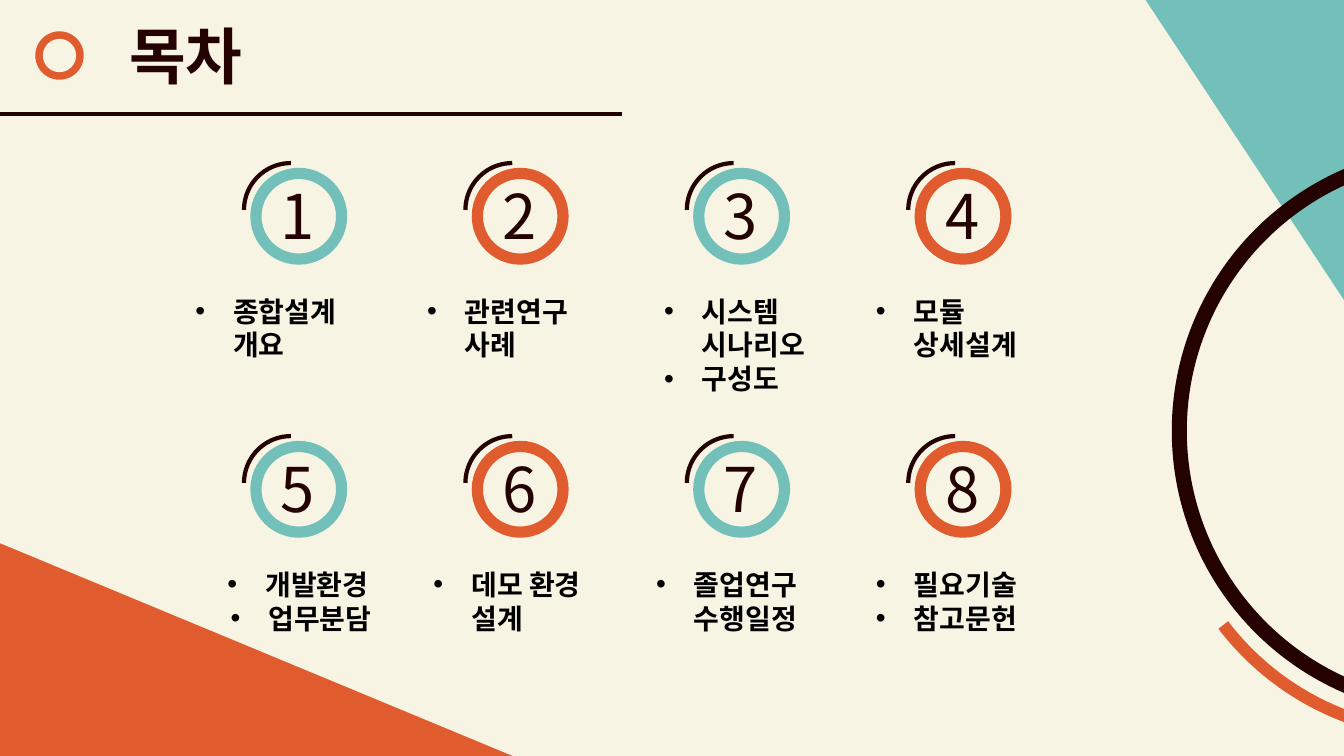
from lxml import etree
from pptx import Presentation
from pptx import util as u
from pptx.dml.color import RGBColor
from pptx.enum import shapes, text
from pptx.oxml.ns import qn

CREAM = RGBColor(0xF7, 0xF4, 0xE3)
ORANGE = RGBColor(0xE0, 0x5B, 0x2E)
TEAL = RGBColor(0x73, 0xC0, 0xBA)
DARK = RGBColor(0x24, 0x02, 0x02)
BLACK = RGBColor(0, 0, 0)
FONT = "Noto Sans CJK KR"

COLUMNS = 4
FIRST_LEFT, FIRST_TOP = 6.45, 4.37
COLUMN_STEP, ROW_STEP = 5.58, 6.88
RING = 2.16
LEFT, CENTER = text.PP_ALIGN.LEFT, text.PP_ALIGN.CENTER

TOPICS = [
    (["종합설계 개요"], -1.78, 5.0, LEFT),
    (["관련연구 사례"], -1.52, 5.16, LEFT),
    (["시스템 시나리오", "구성도"], -1.13, 4.39, LEFT),
    (["모듈 상세설계"], -1.37, 5.0, LEFT),
    (["개발환경 ", "업무분담"], -1.78, 5.84, CENTER),
    (["데모 환경 설계"], -1.36, 5.16, LEFT),
    (["졸업연구 수행일정"], -1.33, 4.88, LEFT),
    (["필요기술", "참고문헌"], -1.37, 5.82, LEFT),
]


def place(sp, left, top, width, height):
    sp.left, sp.top = u.Cm(left), u.Cm(top)
    sp.width, sp.height = u.Cm(width), u.Cm(height)


def add_text(sp, lines, size=20, color=BLACK, bold=False, align=LEFT):
    tf = sp.text_frame
    tf.word_wrap = True
    tf.auto_size = text.MSO_AUTO_SIZE.SHAPE_TO_FIT_TEXT
    tf.vertical_anchor = text.MSO_ANCHOR.TOP
    for i, line in enumerate(lines):
        p = tf.paragraphs[0] if i == 0 else tf.add_paragraph()
        p.alignment = align
        p.space_before = u.Pt(0)
        r = p.add_run()
        r.text = line
        r.font.size = u.Pt(size)
        r.font.bold = bold
        r.font.color.rgb = color
        r.font.name = FONT
        ea = etree.SubElement(r._r.get_or_add_rPr(), qn("a:ea"))
        ea.set("typeface", FONT)


def add_preset(slide, kind, box, fill=None, line=None, weight=0):
    sp = slide.shapes.add_shape(kind, *map(u.Cm, box))
    sp.shadow.inherit = False
    if fill is None:
        sp.fill.background()
    else:
        sp.fill.solid()
        sp.fill.fore_color.rgb = fill
    if line is None:
        sp.line.fill.background()
    else:
        sp.line.color.rgb = line
        sp.line.width = u.Pt(weight)
    return sp


def add_arc(slide, box, start, end, color, weight):
    sp = add_preset(slide, shapes.MSO_SHAPE.ARC, box, line=color, weight=weight)
    sp.adjustments[0] = start * 0.6
    sp.adjustments[1] = end * 0.6


def add_backdrop(slide, width):
    slide.background.fill.solid()
    slide.background.fill.fore_color.rgb = CREAM
    triangle = shapes.MSO_SHAPE.RIGHT_TRIANGLE
    add_preset(slide, triangle, (0, 13.69, 13.23, 5.49), fill=ORANGE)
    corner = add_preset(slide, triangle, (width - 5, 0, 5, 7.56), fill=TEAL)
    corner.rotation = 180
    add_arc(slide, (29.72, 3.86, 14, 14), 111, 248.4, DARK, 10.75)
    add_arc(slide, (29.39, 4.5, 14, 14), 110.2, 142.6, ORANGE, 8.75)


def add_header(slide, left, top):
    title = slide.shapes.title
    place(title, left + 0.66, top - 0.46, 6.27, 2.13)
    add_text(title, ["목차"], size=44, color=DARK, bold=True, align=CENTER)
    oval = shapes.MSO_SHAPE.OVAL
    add_preset(slide, oval, (left, top, 1.22, 1.22), fill=ORANGE)
    add_preset(slide, oval, (left + 0.19, top + 0.19, 0.84, 0.84), fill=CREAM)
    rule = slide.shapes.add_connector(
        shapes.MSO_CONNECTOR.STRAIGHT, 0, u.Cm(2.87), u.Cm(15.67), u.Cm(2.87))
    rule.line.color.rgb = DARK
    rule.line.width = u.Pt(3)
    etree.SubElement(rule._element.spPr, qn("a:effectLst"))


def add_topic(slide, body, number, topic, left, top, color):
    lines, offset, width, align = topic
    add_preset(slide, shapes.MSO_SHAPE.OVAL, (left, top, RING, RING),
               line=color, weight=8)
    add_arc(slide, (left - 0.3, top - 0.26, 2.36, 2.36), 180, 270, DARK, 3)
    label = slide.shapes.add_textbox(0, 0, 0, 0)
    place(label, left + 0.03, top, 2.06, 2.13)
    add_text(label, [str(number)], size=44, color=DARK, align=CENTER)
    place(body, left + offset, top + 2.92, width, 1.96 if len(lines) == 1 or number > COLUMNS else 2.82)
    add_text(body, lines, bold=True, align=align)


def add_topics(slide, left, top):
    layout_body = slide.slide_layout.placeholders[1]
    for i, topic in enumerate(TOPICS):
        if i == 0:
            body = slide.placeholders[1]
        else:
            slide.shapes.clone_placeholder(layout_body)
            body = slide.shapes[-1]
        row, column = divmod(i, COLUMNS)
        add_topic(slide, body, i + 1, topic, left + column * COLUMN_STEP,
                  top + row * ROW_STEP, ORANGE if column % 2 else TEAL)


def main():
    prs = Presentation()
    prs.slide_width, prs.slide_height = u.Cm(33.87), u.Cm(19.05)
    slide = prs.slides.add_slide(prs.slide_layouts[1])
    add_backdrop(slide, 33.87)
    add_header(slide, 0.89, 0.79)
    add_topics(slide, FIRST_LEFT, FIRST_TOP)
    prs.save("out.pptx")


if __name__ == "__main__":
    main()
